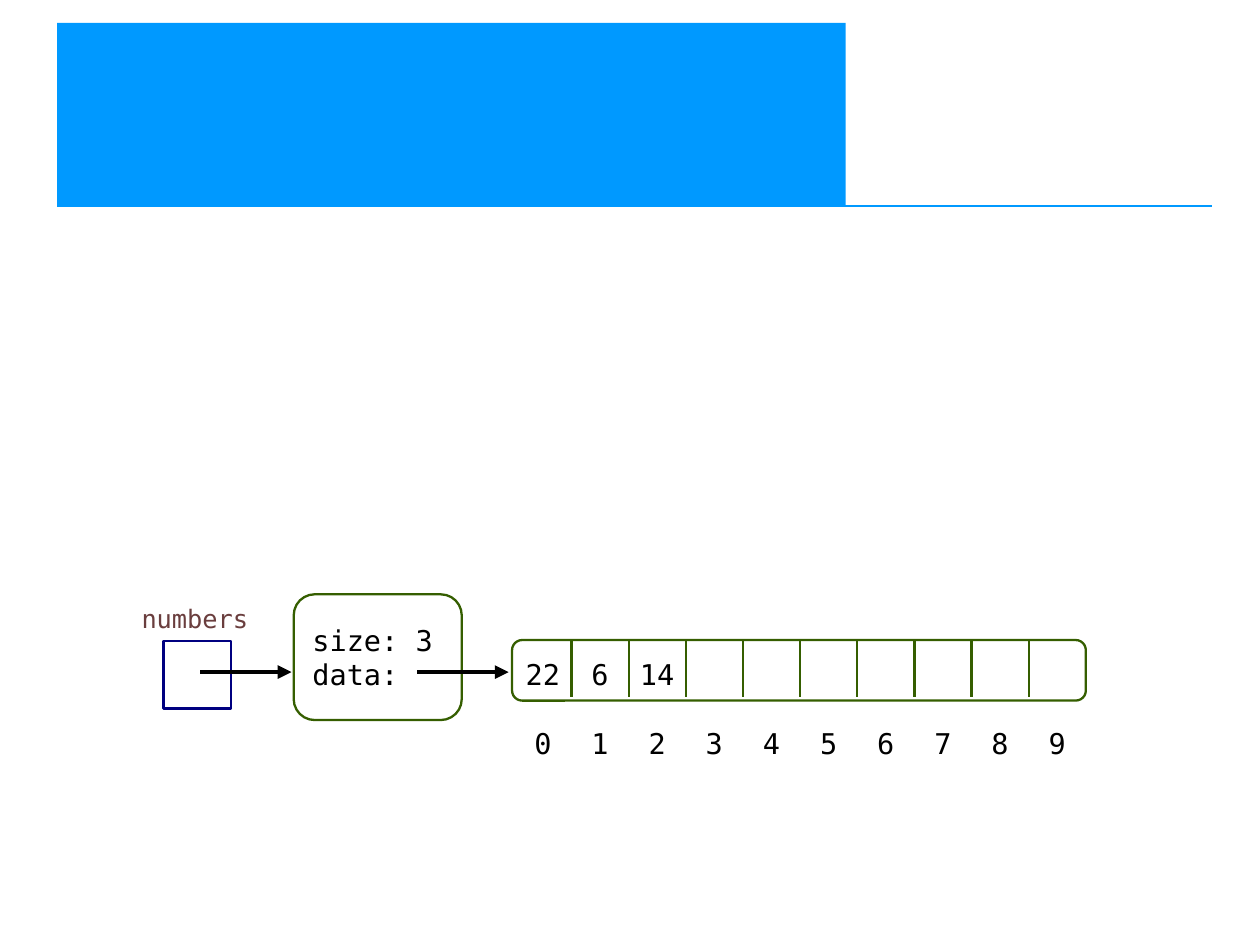
from lxml import etree
from pptx import Presentation
from pptx.dml.color import RGBColor
from pptx.enum.shapes import MSO_CONNECTOR, MSO_SHAPE
from pptx.enum.text import MSO_ANCHOR, PP_ALIGN
from pptx.oxml.ns import qn
from pptx.util import Inches, Pt

RECT, ROUNDED = MSO_SHAPE.RECTANGLE, MSO_SHAPE.ROUNDED_RECTANGLE
STRAIGHT = MSO_CONNECTOR.STRAIGHT
LEFT, CENTER = PP_ALIGN.LEFT, PP_ALIGN.CENTER
TOP, MIDDLE = MSO_ANCHOR.TOP, MSO_ANCHOR.MIDDLE

FONT = "DejaVu Sans Mono"
BLUE, NAVY, GREEN = "0099FF", "000080", "355E00"
BROWN, BLACK, WHITE = "6A3E3E", "000000", "FFFFFF"
THIN, THICK = 1.45, 2.89

CM_PER_INCH = 2.54
CAPACITY = 10
VALUES = ["22", "6", "14"]
CELL = 0.5
ARRAY_LEFT, ARRAY_TOP = 4.5, 5.6
ARROW_Y = 5.88


def color(hex_code):
    return RGBColor.from_string(hex_code)


def write(frame, text, size=18, ink=BLACK, align=LEFT, anchor=TOP,
          margins=(0.1, 0.05), wrap=True):
    frame.word_wrap = wrap
    frame.vertical_anchor = anchor
    frame.margin_left = frame.margin_right = Inches(margins[0])
    frame.margin_top = frame.margin_bottom = Inches(margins[1])
    frame.text = text
    for paragraph in frame.paragraphs:
        paragraph.alignment = align
        for run in paragraph.runs:
            run.font.name = FONT
            run.font.size = Pt(size)
            run.font.color.rgb = color(ink)


class Diagram:
    def __init__(self, slide):
        self.slide = slide

    def box(self, kind, left, top, width, height, fill=WHITE, outline=None):
        box = self.slide.shapes.add_shape(
            kind, Inches(left), Inches(top), Inches(width), Inches(height))
        box.shadow.inherit = False
        box.fill.solid()
        box.fill.fore_color.rgb = color(fill)
        if outline:
            box.line.color.rgb = color(outline)
            box.line.width = Pt(THIN)
        else:
            box.line.fill.background()
        return box

    def line(self, x1, y1, x2, y2, ink, width=THIN, arrow=False):
        line = self.slide.shapes.add_connector(
            STRAIGHT, Inches(x1), Inches(y1), Inches(x2), Inches(y2))
        line.line.color.rgb = color(ink)
        line.line.width = Pt(width)
        if arrow:
            etree.SubElement(line.line._get_or_add_ln(), qn("a:tailEnd"),
                             type="triangle")
        etree.SubElement(line._element.spPr, qn("a:effectLst"))

    def label(self, text, left, top, width, height, **style):
        label = self.slide.shapes.add_textbox(
            Inches(left), Inches(top), Inches(width), Inches(height))
        write(label.text_frame, text, **style)

    def cell_text(self, text, index, top):
        self.label(text, ARRAY_LEFT + index * CELL, top, CELL, 0.39,
                   align=CENTER, margins=(0, 0.05))


def main():
    deck = Presentation()
    deck.slide_width = Inches(28 / CM_PER_INCH)
    deck.slide_height = Inches(21 / CM_PER_INCH)
    diagram = Diagram(deck.slides.add_slide(deck.slide_layouts[6]))

    # Header band and rule
    diagram.box(RECT, 0.5, 0.2, 6.9, 1.6, fill=BLUE)
    diagram.line(0.5, 1.8, 10.6, 1.8, BLUE)

    # Variable and the list object it refers to
    diagram.box(RECT, 1.43, 5.61, 0.59, 0.59, outline=NAVY)
    diagram.label("numbers", 1.14, 5.23, 1.14, 0.36, size=16, ink=BROWN,
                  wrap=False)
    list_object = diagram.box(ROUNDED, 2.57, 5.2, 1.47, 1.1, outline=GREEN)
    write(list_object.text_frame, "size: 3\ndata:", anchor=MIDDLE,
          margins=(0.11, 0.06), wrap=False)

    # Array with its dividers, values and indexes
    diagram.box(ROUNDED, 4.48, ARRAY_TOP, 5.02, 0.53, outline=GREEN)
    for index in range(CAPACITY):
        if index:
            x = ARRAY_LEFT + index * CELL
            diagram.line(x, ARRAY_TOP, x, ARRAY_TOP + 0.5, GREEN)
        diagram.cell_text(str(index), index, 6.3)
    for index, value in enumerate(VALUES):
        diagram.cell_text(value, index, 5.7)

    # References
    for start in (1.75, 3.65):
        diagram.line(start, ARROW_Y, start + 0.8, ARROW_Y, BLACK, THICK,
                     arrow=True)

    deck.save("out.pptx")


if __name__ == "__main__":
    main()
